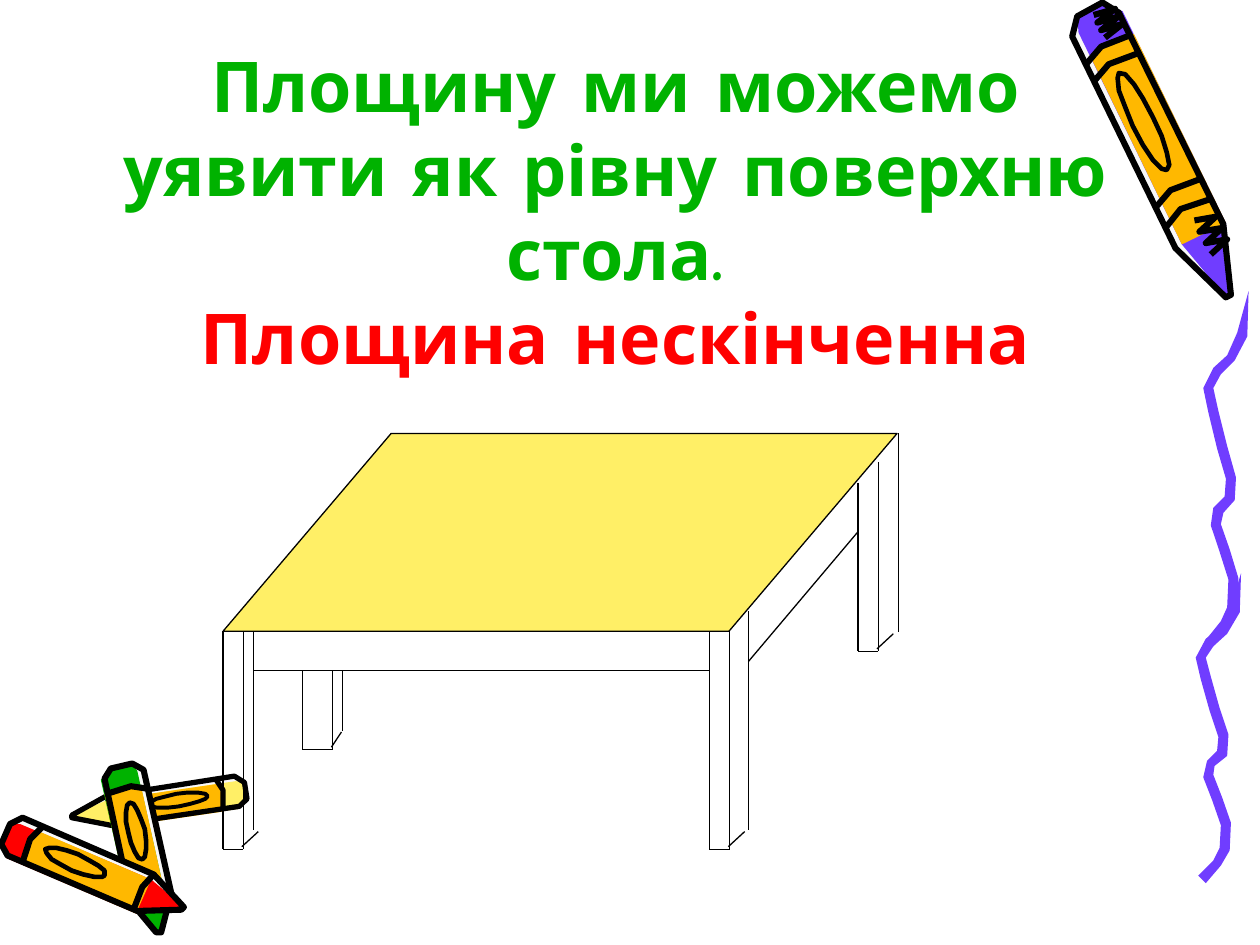
from dataclasses import dataclass
from math import cos, hypot, pi, sin
from typing import NamedTuple

from lxml import etree
from pptx import Presentation
from pptx.dml.color import RGBColor
from pptx.enum.shapes import MSO_CONNECTOR, MSO_SHAPE
from pptx.enum.text import MSO_ANCHOR, PP_ALIGN
from pptx.oxml.ns import qn
from pptx.util import Pt

PX = 9144  # EMU in one px, 100 px to the inch
STRAIGHT = MSO_CONNECTOR.STRAIGHT
PARALLELOGRAM = MSO_SHAPE.PARALLELOGRAM
BOTTOM = MSO_ANCHOR.BOTTOM
CENTER = PP_ALIGN.CENTER

BLACK = RGBColor(0x00, 0x00, 0x00)
PAPER = RGBColor(0xF8, 0xF8, 0xF8)
PURPLE = RGBColor(0x70, 0x3D, 0xFF)
ORANGE = RGBColor(0xFF, 0xB8, 0x00)
YELLOW = RGBColor(0xFF, 0xEF, 0x66)
RED = RGBColor(0xFF, 0x00, 0x00)
GREEN = RGBColor(0x00, 0xB2, 0x00)

# Crayon proportions: along runs 0 (tail) to 1 (tip), across runs -1 to 1
SHOULDER = 0.79
COLOR_START, COLOR_END = -0.7, 1.15  # colour is shifted to the shaded side
CONTOUR = [(0.05, -1), (0, -0.5), (0, 0.6), (0.05, 1), (SHOULDER, 1),
           (1, 0.1), (1, -0.1), (SHOULDER, -1)]
OVAL_CENTER, OVAL_LENGTH, OVAL_WIDTH, OVAL_STEPS = 0.39, 0.17, 0.42, 16


class Point(NamedTuple):
    x: int
    y: int


@dataclass
class Crayon:
    tail: Point
    tip: Point
    half_width: int  # negative puts the shaded side on the other edge
    color: RGBColor
    stroke: float
    bands: tuple = (0.14, 0.77)
    scribbles: tuple = ()  # (start, end) along the crayon

    def place(self, along: float, across: float) -> Point:
        run, rise = self.tip.x - self.tail.x, self.tip.y - self.tail.y
        offset = across * self.half_width / hypot(run, rise)
        return Point(round(self.tail.x + along * run - offset * rise),
                     round(self.tail.y + along * rise + offset * run))


@dataclass
class Leg:
    left: int
    right: int
    left_top: int
    right_top: int
    bottom: int
    far_x: int  # edge of the side face
    far_top: int
    foot_run: int = 13


LARGE_CRAYON = Crayon(Point(864, 8), Point(975, 235), -21, PURPLE, 3.5,
                      (0.13, 0.19, 0.63, 0.7), ((0.02, 0.1), (0.74, 0.86)))
SMALL_CRAYONS = [
    Crayon(Point(195, 627), Point(57, 648), -12, YELLOW, 3),
    Crayon(Point(97, 608), Point(126, 740), 16, GREEN, 3.5),
    Crayon(Point(5, 661), Point(145, 721), 16, RED, 3.5),
]

# Wave: one centre line, drawn twice at different heights
WAVE_CENTER = [Point(*pair) for pair in (
    (9, 243), (21, 230), (27, 219), (28, 199), (21, 179), (14, 161), (16, 151), (25, 143),
    (26, 129), (19, 108), (12, 83), (8, 67), (15, 55), (26, 46), (35, 30), (40, 0))]
WAVE_HALF_WIDTH = 4
WAVE_PLACES = [(Point(945, 455), 1), (Point(951, 231), 1.15)]  # origin, stretch

FRONT_TOP, FRONT_BOTTOM, RAIL_BOTTOM = 501, 674, 532
FRONT_LEFT = Leg(177, 193, FRONT_TOP, FRONT_TOP, FRONT_BOTTOM, 201, FRONT_TOP)
FRONT_RIGHT = Leg(563, 579, FRONT_TOP, FRONT_TOP, FRONT_BOTTOM, 594, 485)
BACK_RIGHT = Leg(681, 697, 383, 367, 517, 713, 344)
BACK_LEFT = Leg(240, 264, RAIL_BOTTOM, RAIL_BOTTOM, 595, 272, RAIL_BOTTOM, 8)
SIDE_DEPTH, FOOT_RISE = 15, 12


def draw_path(slide, points: list, fill=None, stroke: float = 0, close: bool = True) -> None:
    builder = slide.shapes.build_freeform(*points[0], scale=PX)
    builder.add_line_segments(points[1:], close=close)
    shape = builder.convert_to_shape()
    shape.shadow.inherit = False
    if fill is None:
        shape.fill.background()
    else:
        shape.fill.solid()
        shape.fill.fore_color.rgb = fill
    if stroke:
        shape.line.color.rgb = BLACK
        shape.line.width = Pt(stroke)
    else:
        shape.line.fill.background()


def draw_crayon(slide, crayon: Crayon) -> None:
    def draw(pairs: list, **style) -> None:
        draw_path(slide, [crayon.place(*pair) for pair in pairs], **style)

    # Coloured wax with the paper wrapper over it
    draw(CONTOUR, fill=PAPER)
    draw([(along, min(max(across, COLOR_START), 1) * (COLOR_END if across == 1 else 1))
          for along, across in CONTOUR], fill=crayon.color)
    start = crayon.bands[0]
    draw([(start, COLOR_START), (start, COLOR_END), (SHOULDER, COLOR_END),
          (SHOULDER, COLOR_START)], fill=ORANGE)
    # Black strokes: bowed bands, label oval, zigzags, contour
    for band in crayon.bands:
        draw([(band + 0.02, -1), (band - 0.01, -0.2), (band, 1)],
             stroke=crayon.stroke, close=False)
    angles = [2 * pi * step / OVAL_STEPS for step in range(OVAL_STEPS)]
    draw([(OVAL_CENTER + OVAL_LENGTH * cos(angle), OVAL_WIDTH * sin(angle))
          for angle in angles], stroke=crayon.stroke * 0.75)
    for first, last in crayon.scribbles:
        draw([(first + (last - first) * step / 6, 0.9 if step % 2 else 0.1)
              for step in range(7)], stroke=crayon.stroke, close=False)
    draw(CONTOUR, stroke=crayon.stroke)


def draw_wave(slide, origin: Point, stretch: float) -> None:
    center = [(origin.x + point.x, origin.y + stretch * point.y) for point in WAVE_CENTER]
    sides = ([], [])
    for index, (x, y) in enumerate(center):
        before, after = center[max(index - 1, 0)], center[min(index + 1, len(center) - 1)]
        run, rise = after[0] - before[0], after[1] - before[1]
        width = 0 if index == len(center) - 1 else WAVE_HALF_WIDTH  # pointed upper end
        for side, sign in zip(sides, (1, -1)):
            offset = sign * width / hypot(run, rise)
            side.append(Point(round(x - offset * rise), round(y + offset * run)))
    draw_path(slide, sides[0] + sides[1][::-1], fill=PURPLE)


def draw_line(slide, x1: int, y1: int, x2: int, y2: int) -> None:
    connector = slide.shapes.add_connector(STRAIGHT, x1 * PX, y1 * PX, x2 * PX, y2 * PX)
    connector.line.color.rgb = BLACK
    connector.line.width = Pt(0.75)
    etree.SubElement(connector._element.spPr, qn("a:effectLst"))


def draw_leg(slide, leg: Leg) -> None:
    foot_x, foot_y = leg.right - 1, leg.bottom - 2
    draw_line(slide, leg.left, leg.left_top, leg.left, leg.bottom)
    draw_line(slide, leg.left, leg.bottom, leg.right, leg.bottom)
    draw_line(slide, leg.right, leg.right_top, leg.right, leg.bottom)
    draw_line(slide, leg.far_x, leg.far_top, leg.far_x, leg.bottom - SIDE_DEPTH)
    draw_line(slide, foot_x, foot_y, foot_x + leg.foot_run, foot_y - FOOT_RISE)


def draw_table(slide) -> None:
    top = slide.shapes.add_shape(PARALLELOGRAM, 177 * PX, 344 * PX, 535 * PX, 157 * PX)
    top.adjustments[0] = 0.85
    top.shadow.inherit = False
    top.fill.solid()
    top.fill.fore_color.rgb = YELLOW
    top.line.color.rgb = BLACK
    top.line.width = Pt(0.75)
    for leg in (FRONT_LEFT, FRONT_RIGHT, BACK_RIGHT, BACK_LEFT):
        draw_leg(slide, leg)
    # Front and side rails
    draw_line(slide, FRONT_LEFT.far_x, RAIL_BOTTOM, FRONT_RIGHT.left, RAIL_BOTTOM)
    draw_line(slide, FRONT_RIGHT.far_x, 525, BACK_RIGHT.left, 422)


def draw_title(slide) -> None:
    text_frame = slide.shapes.add_textbox(75 * PX, 17 * PX, 827 * PX, 288 * PX).text_frame
    text_frame.word_wrap = True
    text_frame.vertical_anchor = BOTTOM
    paragraph = text_frame.paragraphs[0]
    paragraph.alignment = CENTER
    font_format = {"name": "Comic Neue", "size": Pt(40), "bold": True}
    sentences = [("Площину ми можемо уявити як рівну поверхню стола.", GREEN),
                 ("Площина нескінченна", RED)]
    for index, (sentence, color) in enumerate(sentences):
        if index:
            paragraph.add_line_break()
        run = paragraph.add_run()
        run.text = sentence
        for name, value in font_format.items():
            setattr(run.font, name, value)
        run.font.color.rgb = color


def main() -> None:
    presentation = Presentation()
    presentation.slide_width, presentation.slide_height = 1000 * PX, 750 * PX
    slide = presentation.slides.add_slide(presentation.slide_layouts[6])
    for crayon in SMALL_CRAYONS:
        draw_crayon(slide, crayon)
    for origin, stretch in WAVE_PLACES:
        draw_wave(slide, origin, stretch)
    draw_crayon(slide, LARGE_CRAYON)
    draw_title(slide)
    draw_table(slide)
    presentation.save("out.pptx")


if __name__ == "__main__":
    main()
